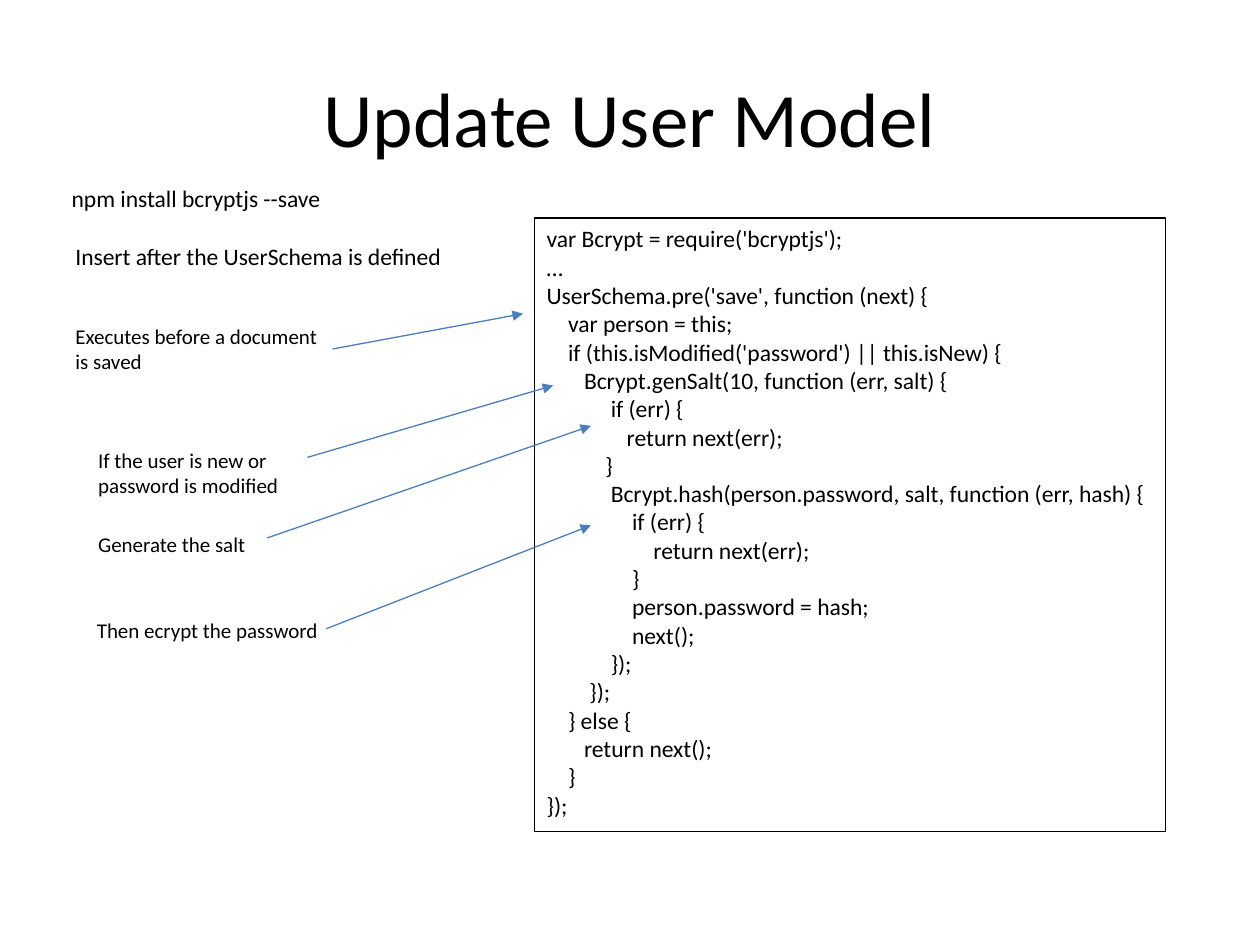
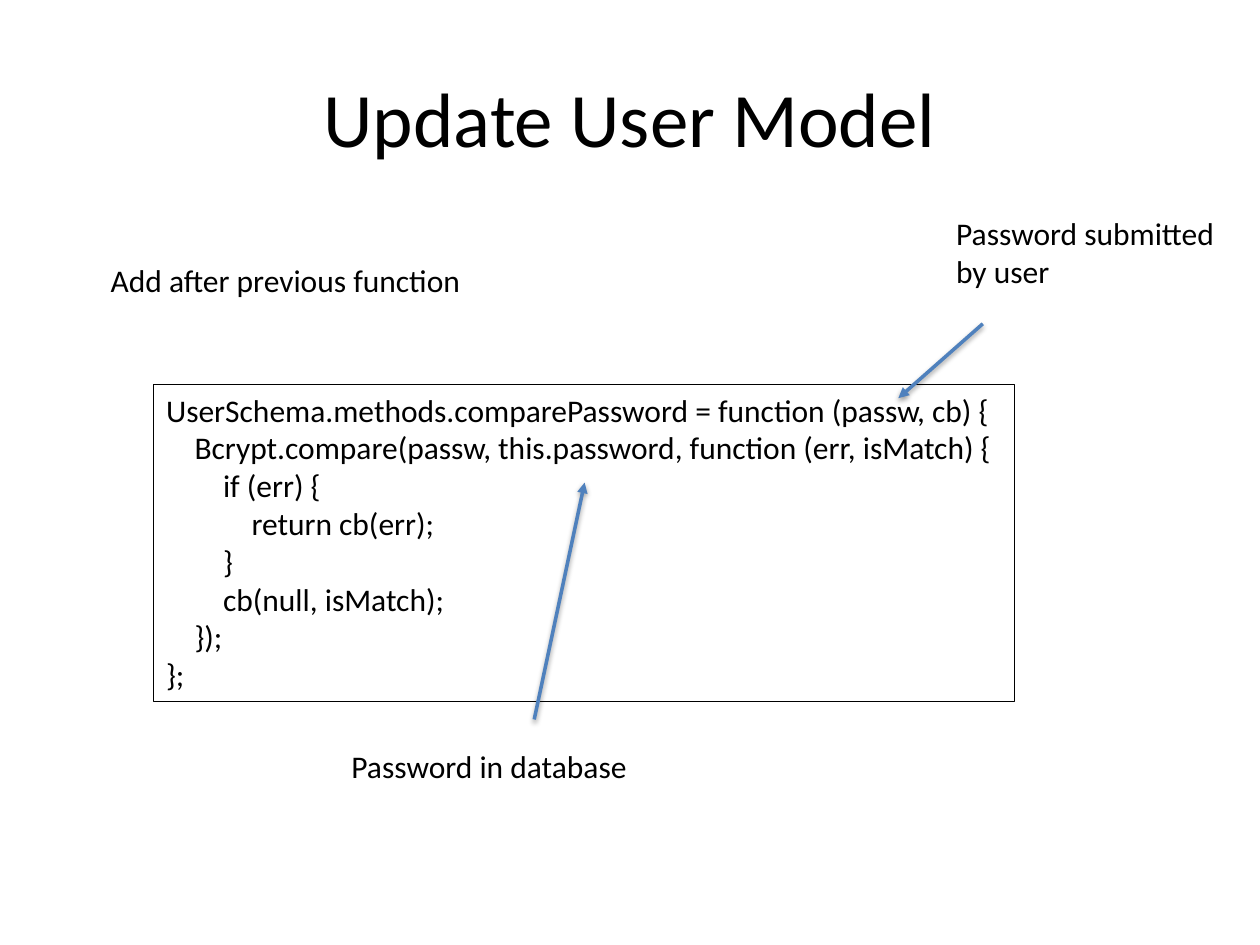
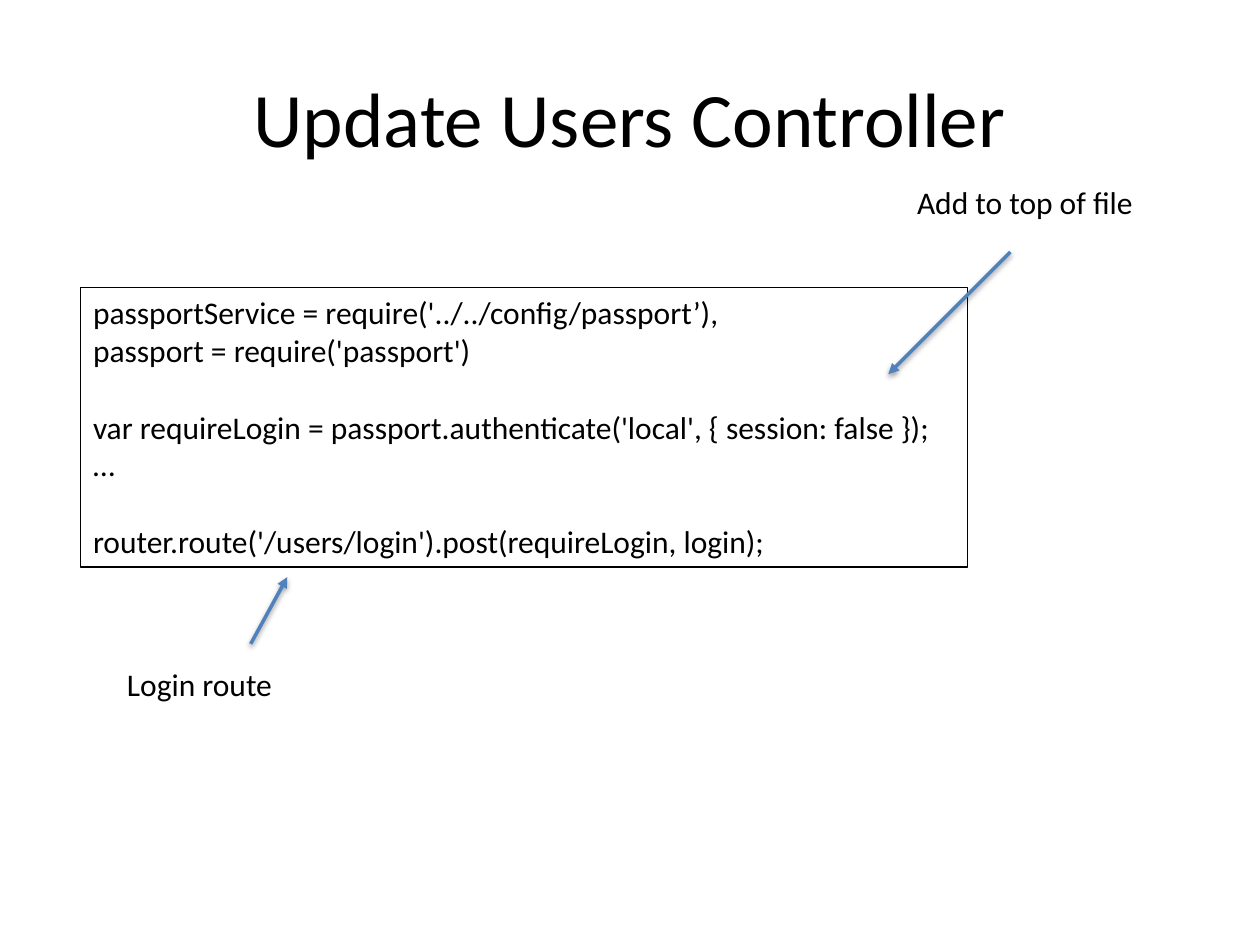
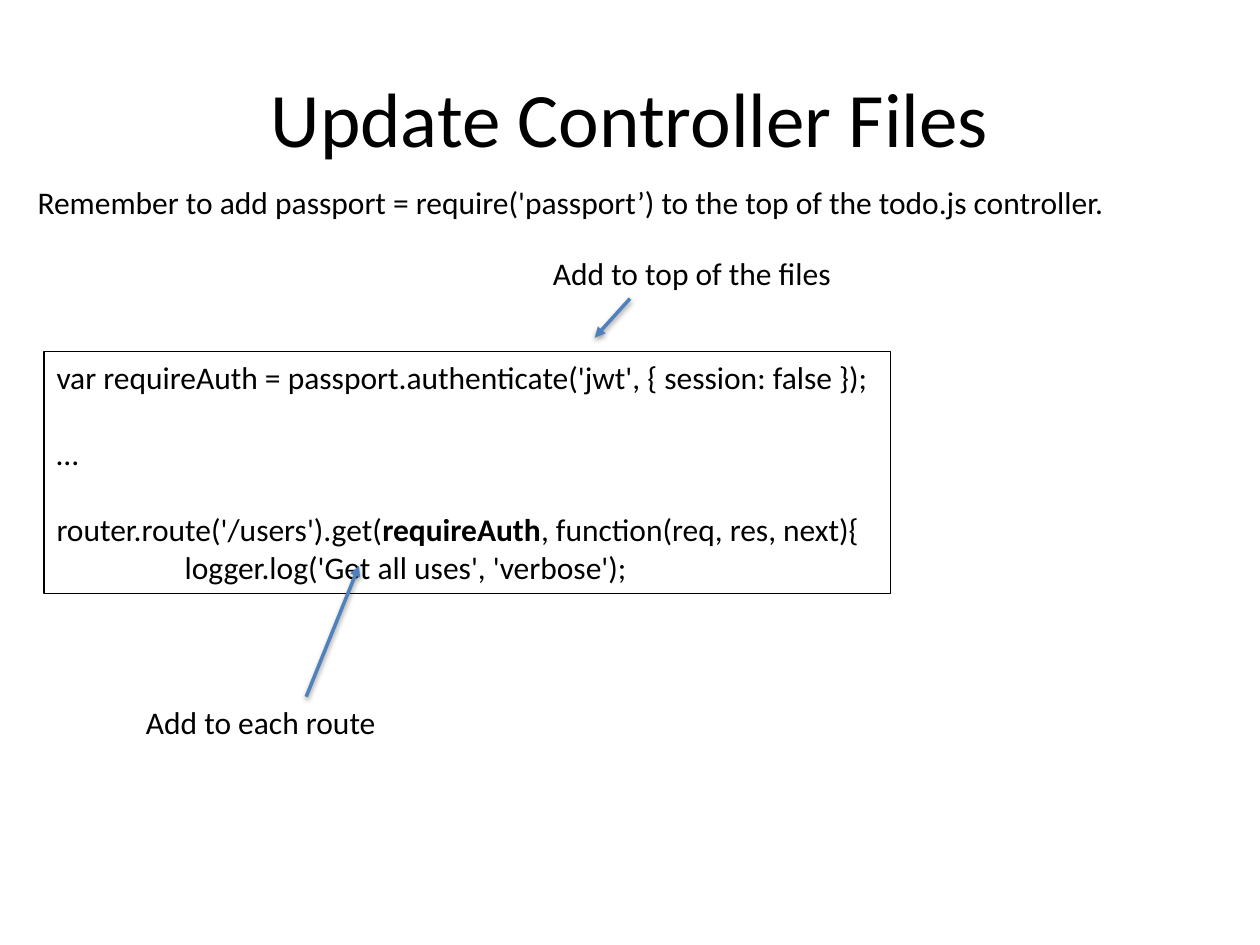
from lxml import etree
from pptx import Presentation
from pptx import util as u
from pptx.dml.color import RGBColor
from pptx.enum import shapes, text
from pptx.oxml import ns

# Shared style
BLACK = RGBColor(0x00, 0x00, 0x00)
WHITE = RGBColor(0xFF, 0xFF, 0xFF)
THIN_BLUE = RGBColor(0x4B, 0x7E, 0xBC)
BLUE = RGBColor(0x4F, 0x81, 0xBD)
FONT = "Calibri"
SPACE_WIDTH = 0.226  # width of a space, in ems
LINE_HEIGHT = 1.22   # height of a line, in ems


class Deck:
    """Holds the style and the slide being built."""

    def __init__(self):
        self.prs = Presentation()
        self.prs.slide_width = u.Inches(10)
        self.prs.slide_height = u.Inches(7.5)
        self.slide = None

    def add_slide(self, title):
        self.slide = self.prs.slides.add_slide(self.prs.slide_layouts[6])
        fill = self.slide.background.fill
        fill.solid()
        fill.fore_color.rgb = WHITE
        heading = self.box(0.5, 0.3, 9, 1.25)
        heading.word_wrap = True
        heading.vertical_anchor = text.MSO_ANCHOR.MIDDLE
        heading.paragraphs[0].alignment = text.PP_ALIGN.CENTER
        self.run(heading.paragraphs[0], title, 44)

    def box(self, left, top, width, height, outlined=False):
        shape = self.slide.shapes.add_textbox(*map(u.Inches, (left, top, width, height)))
        if outlined:
            shape.line.color.rgb = BLACK
            shape.line.width = u.Pt(0.75)
        return shape.text_frame

    def run(self, paragraph, words, size, bold=None):
        run = paragraph.add_run()
        run.text = words
        run.font.name = FONT
        run.font.size = u.Pt(size)
        run.font.color.rgb = BLACK
        run.font.bold = bold

    def label(self, left, top, width, height, words, size=18):
        frame = self.box(left, top, width, height)
        frame.word_wrap = False
        frame.auto_size = text.MSO_AUTO_SIZE.SHAPE_TO_FIT_TEXT
        paragraph = frame.paragraphs[0]
        for number, line in enumerate(words.split("\n")):
            if number:
                paragraph.add_line_break()
            self.run(paragraph, line, size)

    def code(self, left, top, width, height, listing, size=18):
        """Leading spaces become indents, empty lines spacing, **words** bold."""
        frame = self.box(left, top, width, height, outlined=True)
        frame.word_wrap = False
        frame.auto_size = text.MSO_AUTO_SIZE.SHAPE_TO_FIT_TEXT
        paragraph, gap = None, 0
        for line in listing.strip().split("\n"):
            if not line:
                gap += size * LINE_HEIGHT
                continue
            paragraph = frame.add_paragraph() if paragraph else frame.paragraphs[0]
            if gap:
                paragraph.space_before = u.Pt(gap)
                gap = 0
            statement = line.lstrip()
            depth = len(line) - len(statement)
            if depth:
                indent = u.Pt(depth * SPACE_WIDTH * size)
                paragraph._p.get_or_add_pPr().set("marL", str(indent))
            for number, part in enumerate(statement.split("**")):
                self.run(paragraph, part, size, bold=True if number % 2 else None)

    def arrow(self, start, end, color=BLUE, width=2, shadow=True):
        line = self.slide.shapes.add_connector(
            shapes.MSO_CONNECTOR.STRAIGHT, *map(u.Inches, start + end))
        line.line.color.rgb = color
        line.line.width = u.Pt(width)
        etree.SubElement(line.line._get_or_add_ln(), ns.qn("a:tailEnd"), type="triangle")
        effects = etree.SubElement(line._element.spPr, ns.qn("a:effectLst"))
        if shadow:
            outer = etree.SubElement(
                effects, ns.qn("a:outerShdw"), blurRad=str(u.Pt(3.1)),
                dist=str(u.Pt(1.6)), dir="5400000", rotWithShape="0")
            shade = etree.SubElement(outer, ns.qn("a:srgbClr"), val=str(BLACK))
            etree.SubElement(shade, ns.qn("a:alpha"), val="38000")


deck = Deck()

# Slide 1: hashing the password before saving
deck.add_slide("Update User Model")
deck.code(4.24, 1.73, 5.01, 4.87, """
var Bcrypt = require('bcryptjs');
…
UserSchema.pre('save', function (next) {
    var person = this;
    if (this.isModified('password') || this.isNew) {
       Bcrypt.genSalt(10, function (err, salt) {
            if (err) {
               return next(err);
           }
            Bcrypt.hash(person.password, salt, function (err, hash) {
                if (err) {
                    return next(err);
                }
                person.password = hash;
                next();
            });
        });
    } else {
       return next();
    }
});
""", size=13.5)
deck.label(0.5, 1.87, 3.13, 0.33, "Insert after the UserSchema is defined", 13.5)
deck.label(0.47, 1.41, 2.21, 0.33, "npm install bcryptjs --save", 13.5)
hashing_steps = [
    ((0.5, 2.52, 2.14, 0.5), "Executes before a document\nis saved", (2.64, 2.77), (4.15, 2.49)),
    ((0.68, 3.5, 1.65, 0.5), "If the user is new or\npassword is modified", (2.44, 3.63), (4.39, 3.06)),
    ((0.68, 4.17, 1.38, 0.3), "Generate the salt", (2.12, 4.27), (4.69, 3.38)),
    ((0.67, 4.85, 1.97, 0.3), "Then ecrypt the password", (2.59, 4.99), (4.69, 4.17)),
]
for place, step, start, end in hashing_steps:
    deck.label(*place, step, 12)
    deck.arrow(start, end, THIN_BLUE, 0.75, shadow=False)

# Slide 2: comparing passwords
deck.add_slide("Update User Model")
deck.code(1.22, 3.05, 6.83, 2.52, """
UserSchema.methods.comparePassword = function (passw, cb) {
    Bcrypt.compare(passw, this.password, function (err, isMatch) {
        if (err) {
            return cb(err);
        }
        cb(null, isMatch);
    });
};
""")
deck.label(7.49, 1.65, 2.27, 0.71, "Password submitted\nby user")
deck.arrow((7.8, 2.57), (7.13, 3.16))
deck.label(2.69, 5.88, 2.41, 0.4, "Password in database")
deck.arrow((4.24, 5.71), (4.64, 3.83))
deck.label(0.78, 2.02, 3.02, 0.4, "Add after previous function")

# Slide 3: login route
deck.add_slide("Update Users Controller")
deck.code(0.64, 2.28, 7.04, 2.22, """
passportService = require('../../config/passport’),
passport = require('passport')

var requireLogin = passport.authenticate('local', { session: false });
…

router.route('/users/login').post(requireLogin, login);
""")
deck.label(7.18, 1.4, 1.94, 0.4, "Add to top of file")
deck.arrow((8.02, 2), (7.05, 2.97))
deck.label(0.91, 5.23, 1.37, 0.4, "Login route")
deck.arrow((1.99, 5.11), (2.28, 4.58))

# Slide 4: protecting each route
deck.add_slide("Update Controller Files")
deck.code(0.35, 2.79, 6.72, 1.92, """
var requireAuth = passport.authenticate('jwt', { session: false });

…

router.route('/users').get(**requireAuth**, function(req, res, next){
                  logger.log('Get all uses', 'verbose');
""")
deck.label(4.29, 1.97, 2.44, 0.4, "Add to top of the files")
deck.arrow((5, 2.37), (4.72, 2.68))
deck.label(1.06, 5.53, 2.05, 0.4, "Add to each route")
deck.arrow((2.43, 5.53), (2.85, 4.49))
deck.label(0.2, 1.4, 8.77, 0.4,
           "Remember to add passport = require('passport’) to the top of the todo.js controller.")

deck.prs.save("out.pptx")
